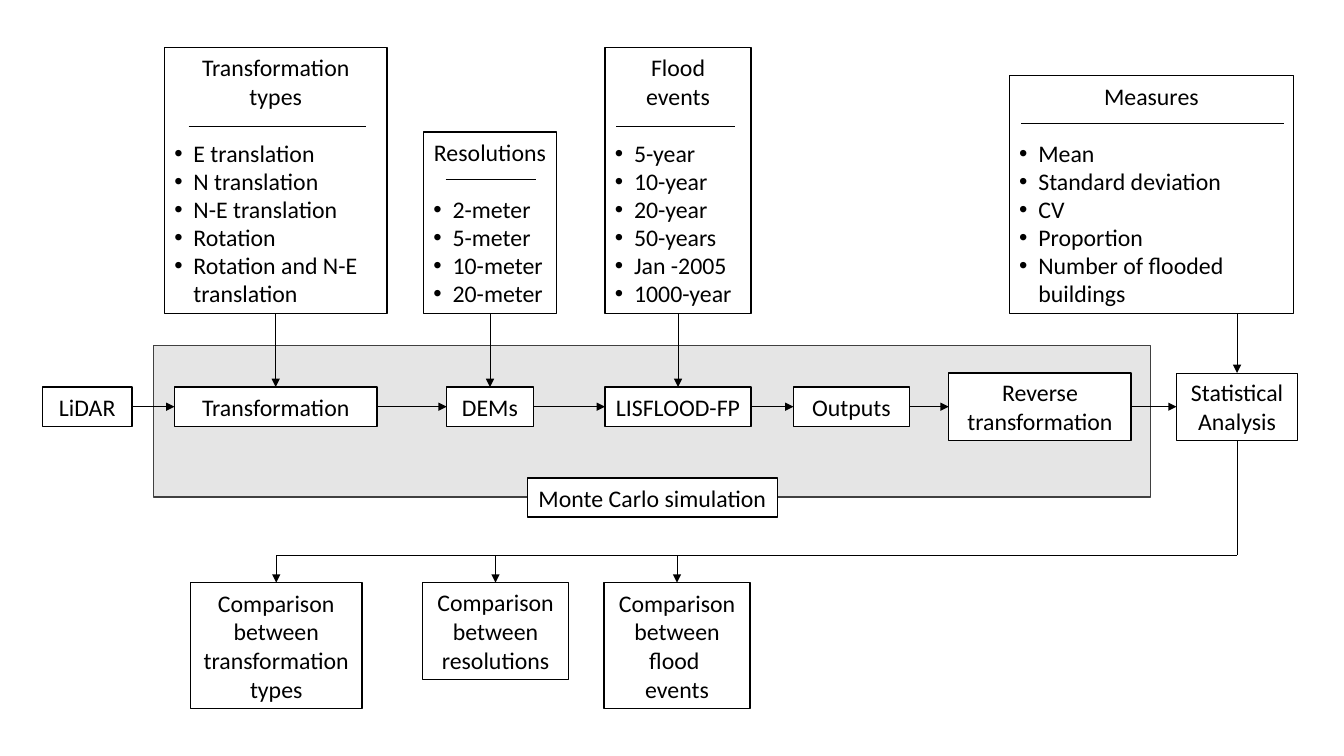
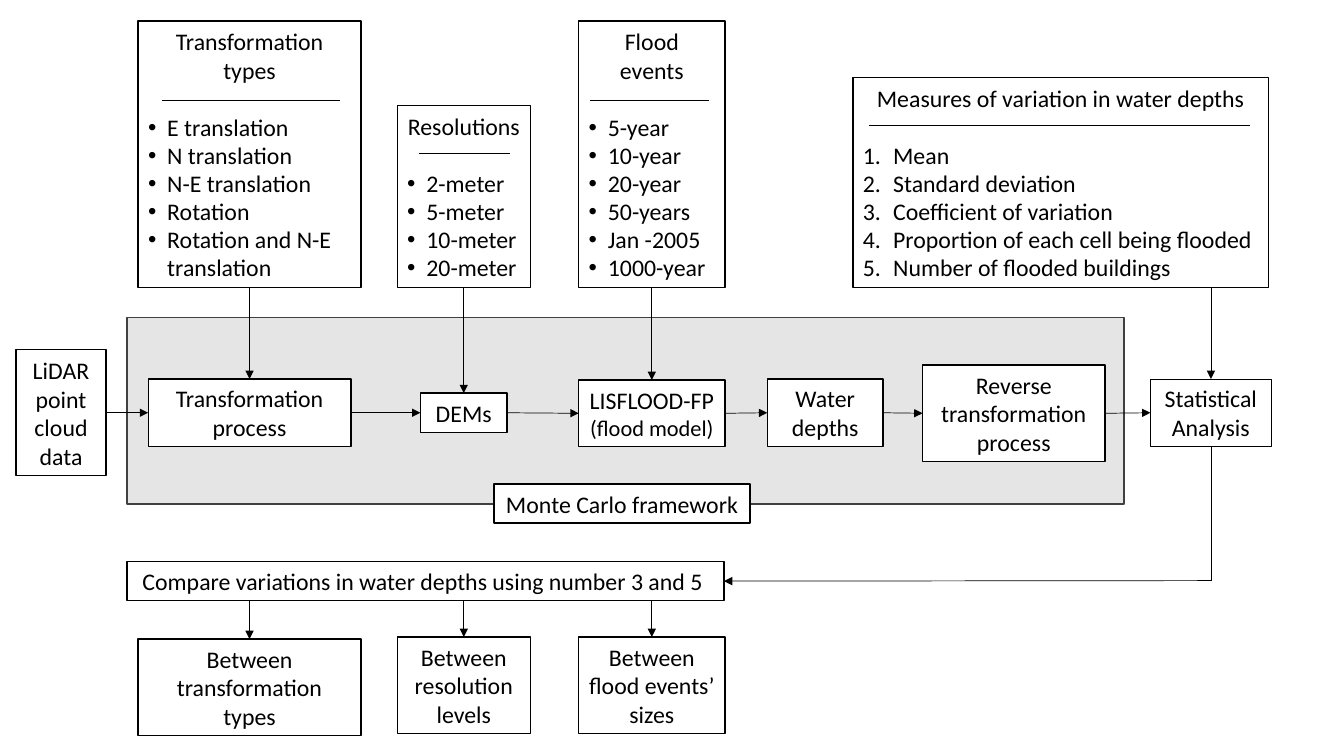
"""Build two flow charts of a flood-model Monte Carlo study."""
from collections import namedtuple

from lxml.etree import SubElement
from pptx import Presentation
from pptx.dml.color import RGBColor
from pptx.enum.shapes import MSO_CONNECTOR, MSO_SHAPE
from pptx.enum.text import MSO_ANCHOR, PP_ALIGN
from pptx.oxml.ns import qn
from pptx.util import Pt

PX = 9144
FONT, SIZE = "Calibri", 17
COLORS = {"ink": "000000", "paper": "FFFFFF", "panel": "808080", "panel_edge": "404040"}
TOP, LEFT, BOTTOM, RIGHT = range(4)

Port = namedtuple("Port", "x y box site", defaults=(None, None))
Card = namedtuple("Card", "left width height rule_inset rule_width heading items numbered",
                  defaults=(False,))

INPUTS = [
    Card(163, 221, 264, 24, 176, ["Transformation", "types"],
         ["E translation", "N translation", "N-E translation", "Rotation",
          "Rotation and N-E translation"]),
    Card(420, 132, 180, 22, 90, ["Resolutions"],
         ["2-meter", "5-meter", "10-meter", "20-meter"]),
    Card(600, 145, 264, 11, 118, ["Flood", "events"],
         ["5-year", "10-year", "20-year", "50-years", "Jan -2005", "1000-year"]),
]
INPUT_BOTTOM = 311
FED_STAGES = (1, 2, 3, 6)
STAGE_COLUMNS = [(42, 89), (173, 201), (443, 86), (600, 145), (787, 115), (941, 181), (1167, 120)]

CHARTS = [
    {
        "shift": 0,
        "axis": 404,
        "panel": (152, 343, 989, 150),
        "panel_label": ((523, 474, 248, 39), ["Monte Carlo simulation"]),
        "measures": Card(1001, 282, 236, 12, 260, ["Measures"],
                         ["Mean", "Standard deviation", "CV", "Proportion",
                          "Number of flooded buildings"]),
        "stages": [(39, ["LiDAR"]), (39, ["Transformation"]), (39, ["DEMs"]),
                   (39, ["LISFLOOD-FP"]), (39, ["Outputs"]),
                   (67, ["Reverse transformation"]), (67, ["Statistical Analysis"])],
        "rail": 551,
        "summary": None,
        "comparisons": [
            ((189, 578, 170, 125), ["Comparison between", "transformation types"]),
            ((419, 578, 145, 96), ["Comparison between", "resolutions"]),
            ((599, 578, 145, 125), ["Comparison between", "flood ", "events"]),
        ],
    },
    {
        "shift": -26,
        "axis": 410,
        "panel": (126, 315, 989, 185),
        "panel_label": ((490, 480, 254, 39), ["Monte Carlo framework"]),
        "measures": Card(872, 412, 208, 16, 378, ["Measures of variation in water depths"],
                         ["Mean", "Standard deviation", "Coefficient of variation",
                          "Proportion of each cell being flooded",
                          "Number of flooded buildings"], True),
        "stages": [(125, ["LiDAR point cloud data"]), (67, ["Transformation", "process"]),
                   (39, ["DEMs"]),
                   (66, [[("LISFLOOD-FP ", SIZE), ("(flood model)", 16)]]),
                   (67, ["Water depths"]), (96, ["Reverse transformation process"]),
                   (67, ["Statistical Analysis"])],
        "rail": 576,
        "summary": ((126, 557, 592, 39),
                    ["Compare variations in water depths using number 3 and 5 "]),
        "comparisons": [
            ((137, 634, 221, 96), ["Between transformation types"]),
            ((394, 632, 132, 96), ["Between resolution levels"]),
            ((574, 632, 145, 96), ["Between flood events’ sizes"]),
        ],
    },
]


def color(name):
    return RGBColor.from_string(COLORS[name])


def add_box(shapes, rect, fill="paper", edge="ink", edge_width=1):
    box = shapes.add_shape(MSO_SHAPE.RECTANGLE, *(n * PX for n in rect))
    box.shadow.inherit = False
    box.fill.solid()
    box.fill.fore_color.rgb = color(fill)
    box.line.color.rgb = color(edge)
    box.line.width = Pt(edge_width)
    return box


def write(box, paragraphs):
    frame = box.text_frame
    frame.word_wrap = True
    frame.vertical_anchor = MSO_ANCHOR.MIDDLE
    for i, runs in enumerate(paragraphs):
        paragraph = frame.add_paragraph() if i else frame.paragraphs[0]
        paragraph.alignment = PP_ALIGN.CENTER
        for text, size in [(runs, SIZE)] if isinstance(runs, str) else runs:
            run = paragraph.add_run()
            run.text = text
            run.font.name = FONT
            run.font.size = Pt(size)
            run.font.color.rgb = color("ink")
    return frame.paragraphs


def add_label(shapes, rect, paragraphs, edge_width=1):
    box = add_box(shapes, rect, edge_width=edge_width)
    write(box, paragraphs)
    return box


def make_list(paragraphs, numbered):
    indent = (30 if numbered else 19) * PX
    for i, paragraph in enumerate(paragraphs):
        paragraph.alignment = PP_ALIGN.LEFT
        paragraph.line_spacing = Pt(20)
        paragraph.space_before = Pt(0 if i else 21)
        properties = paragraph._p.get_or_add_pPr()
        properties.set("marL", str(indent))
        properties.set("indent", str(-indent))
        if numbered:
            SubElement(properties, qn("a:buFont"), typeface="+mj-lt")
            SubElement(properties, qn("a:buAutoNum"), type="arabicPeriod")
        else:
            SubElement(properties, qn("a:buFont"), typeface="Arial")
            SubElement(properties, qn("a:buChar"), char="•")


def port(box, site):
    x = box.left + {LEFT: 0, RIGHT: box.width}.get(site, box.width // 2)
    y = box.top + {TOP: 0, BOTTOM: box.height}.get(site, box.height // 2)
    return Port(x, y, box, site)


def link(shapes, start, end, arrow=True, width=0.5):
    line = shapes.add_connector(MSO_CONNECTOR.STRAIGHT, start.x, start.y, end.x, end.y)
    if start.box is not None:
        line.begin_connect(start.box, start.site)
    if end.box is not None:
        line.end_connect(end.box, end.site)
    line.line.color.rgb = color("ink")
    line.line.width = Pt(width)
    if arrow:
        SubElement(line.line._get_or_add_ln(), qn("a:tailEnd"), type="triangle")
    SubElement(line._element.spPr, qn("a:effectLst"))


def add_card(shapes, card, shift):
    members = shapes.add_group_shape().shapes
    left, top = card.left + shift, INPUT_BOTTOM + shift - card.height
    box = add_box(members, (left, top, card.width, card.height))
    paragraphs = write(box, card.heading + card.items)
    make_list(paragraphs[len(card.heading):], card.numbered)
    rule_left = left + card.rule_inset
    rule_y = (top + 16 + 31 * len(card.heading)) * PX
    link(members, Port(rule_left * PX, rule_y),
         Port((rule_left + card.rule_width) * PX, rule_y), arrow=False, width=0.25)


def add_panel(shapes, rect):
    panel = add_box(shapes, rect, "panel", "panel_edge")
    tint = panel.fill._xPr.find(qn("a:solidFill"))[0]
    SubElement(tint, qn("a:alpha"), val="20000")


def draw(shapes, chart):
    shift, axis = chart["shift"], chart["axis"]
    add_panel(shapes, chart["panel"])
    add_label(shapes, *chart["panel_label"])

    stages = []
    for (left, width), (height, label) in zip(STAGE_COLUMNS, chart["stages"]):
        rect = (left + shift, (2 * axis - height) // 2, width, height)
        is_last = len(stages) == len(STAGE_COLUMNS) - 1
        stages.append(add_label(shapes, rect, label, 0.5 if is_last else 1))
    for before, after in zip(stages, stages[1:]):
        link(shapes, port(before, RIGHT), port(after, LEFT))

    for card, stage in zip(INPUTS + [chart["measures"]], FED_STAGES):
        add_card(shapes, card, shift)
        entry = port(stages[stage], TOP)
        link(shapes, Port(entry.x, (INPUT_BOTTOM + shift) * PX), entry)

    comparisons = [add_label(shapes, *item) for item in chart["comparisons"]]
    result = port(stages[-1], BOTTOM)
    corner = Port(result.x, chart["rail"] * PX)
    link(shapes, result, corner, arrow=False)
    if chart["summary"]:
        summary = add_label(shapes, *chart["summary"])
        link(shapes, corner, port(summary, RIGHT))
        branch_y = summary.top + summary.height
    else:
        link(shapes, corner, Port(port(comparisons[0], TOP).x, corner.y), arrow=False)
        branch_y = corner.y
    for comparison in comparisons:
        entry = port(comparison, TOP)
        link(shapes, Port(entry.x, branch_y), entry)


def main():
    deck = Presentation()
    deck.slide_width, deck.slide_height = 1333 * PX, 750 * PX
    for chart in CHARTS:
        draw(deck.slides.add_slide(deck.slide_layouts[6]).shapes, chart)
    deck.save("out.pptx")


if __name__ == "__main__":
    main()
